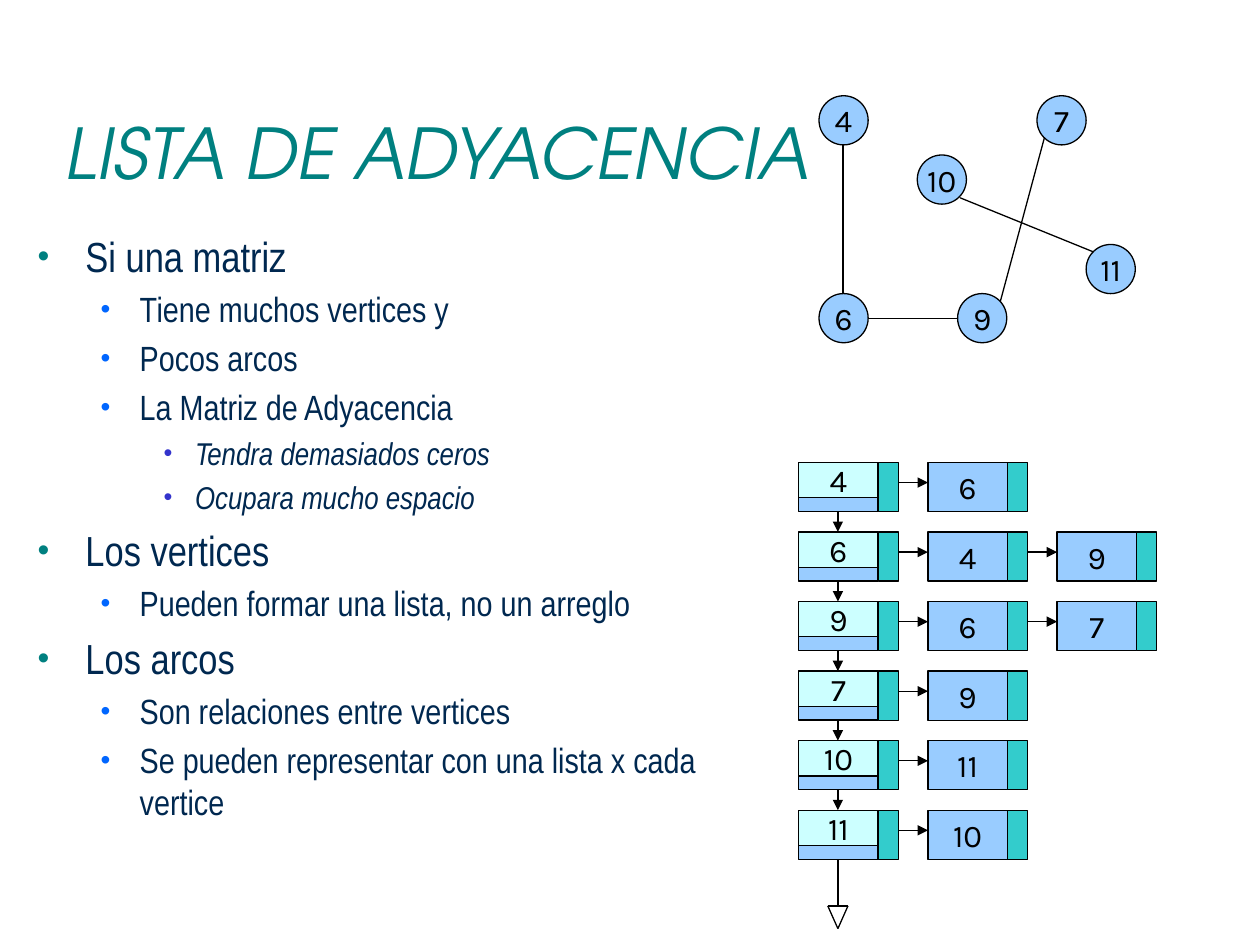
"""Build the slide on adjacency lists with a graph and its linked nodes."""
from lxml.etree import SubElement as Sub
from pptx import Presentation
from pptx.dml.color import RGBColor as RGB
from pptx.enum.shapes import MSO_CONNECTOR as Conn, MSO_SHAPE as Kind
from pptx.enum.text import MSO_ANCHOR as Anchor, PP_ALIGN as Align
from pptx.oxml.ns import qn
from pptx.util import Inches, Pt

HUES = {
    "title": "008080", "text": "002850", "ink": "000000",
    "node": "99CCFF", "head": "CCFFFF", "link": "33CCCC",
}
LEVELS = [
    {"size": 24, "left": 0.38, "hang": 0.38, "dot": "008080", "italic": False},
    {"size": 20, "left": 0.81, "hang": 0.31, "dot": "0066FF", "italic": False},
    {"size": 18, "left": 1.25, "hang": 0.25, "dot": "3333CC", "italic": True},
]
POINTS = [
    (0, "Si una matriz"),
    (1, "Tiene muchos vertices y"),
    (1, "Pocos arcos"),
    (1, "La Matriz de Adyacencia"),
    (2, "Tendra demasiados ceros"),
    (2, "Ocupara mucho espacio"),
    (0, "Los vertices"),
    (1, "Pueden formar una lista, no un arreglo"),
    (0, "Los arcos"),
    (1, "Son relaciones entre vertices"),
    (1, "Se pueden representar con una lista x cada vertice"),
]
NODES = {"4": (6.5, 0.76), "7": (8.23, 0.76), "9": (7.6, 2.33),
         "6": (6.5, 2.33), "10": (7.28, 1.23), "11": (8.62, 1.94)}
EDGES = [(6.69, 1.15, 6.69, 2.33), (6.89, 2.53, 7.6, 2.53),
         (7.94, 2.39, 8.29, 1.09), (7.62, 1.57, 8.68, 2)]
LISTS = [("4", ["6"]), ("6", ["4", "9"]), ("9", ["6", "7"]),
         ("7", ["9"]), ("10", ["11"]), ("11", ["10"])]

deck = Presentation()
deck.slide_width, deck.slide_height = Inches(10), Inches(7.5)
slide = deck.slides.add_slide(deck.slide_layouts[6])


def add_box(kind, x, y, w, h, hue, label=""):
    box = slide.shapes.add_shape(kind, Inches(x), Inches(y), Inches(w), Inches(h))
    box.shadow.inherit = False
    box.fill.solid()
    box.fill.fore_color.rgb = RGB.from_string(HUES[hue])
    box.line.color.rgb = RGB.from_string(HUES["ink"])
    box.line.width = Pt(0.75)
    if label:
        frame = box.text_frame
        frame.word_wrap = False
        frame.vertical_anchor = Anchor.MIDDLE
        para = frame.paragraphs[0]
        para.alignment = Align.CENTER
        run = para.add_run()
        run.text = label
        run.font.color.rgb = RGB.from_string(HUES["ink"])
        for key, value in {"name": "Karla", "size": Pt(18)}.items():
            setattr(run.font, key, value)


def add_line(x1, y1, x2, y2, arrow=False):
    line = slide.shapes.add_connector(
        Conn.STRAIGHT, Inches(x1), Inches(y1), Inches(x2), Inches(y2))
    line.line.color.rgb = RGB.from_string(HUES["ink"])
    line.line.width = Pt(0.75)
    if arrow:
        Sub(line.line._get_or_add_ln(), qn("a:tailEnd"), type="triangle")
    Sub(line._element.spPr, qn("a:effectLst"))


title = slide.shapes.add_textbox(Inches(0.42), Inches(0.58), Inches(6.45), Inches(1.25))
title.text_frame.word_wrap = True
title.text_frame.vertical_anchor = Anchor.MIDDLE
run = title.text_frame.paragraphs[0].add_run()
run.text = "LISTA DE ADYACENCIA"
run.font.color.rgb = RGB.from_string(HUES["title"])
for key, value in {"name": "TeX Gyre Adventor", "size": Pt(40), "italic": True}.items():
    setattr(run.font, key, value)

body = slide.shapes.add_textbox(Inches(0.2), Inches(1.78), Inches(5.51), Inches(4.5))
frame = body.text_frame
frame.word_wrap = True
for i, (depth, words) in enumerate(POINTS):
    style = LEVELS[depth]
    para = frame.add_paragraph() if i else frame.paragraphs[0]
    para.level = depth
    para.space_before = Pt(style["size"] * 0.2)
    props = para._p.get_or_add_pPr()
    props.set("marL", str(Inches(style["left"])))
    props.set("indent", str(-Inches(style["hang"])))
    Sub(Sub(props, qn("a:buClr")), qn("a:srgbClr"), val=style["dot"])
    Sub(props, qn("a:buSzPct"), val="80000")
    Sub(props, qn("a:buFont"), typeface="Arial")
    Sub(props, qn("a:buChar"), char="•")
    run = para.add_run()
    run.text = words
    run.font.color.rgb = RGB.from_string(HUES["text"])
    font = {"name": "Arial Narrow", "size": Pt(style["size"]), "italic": style["italic"]}
    for key, value in font.items():
        setattr(run.font, key, value)

for label, (x, y) in NODES.items():
    add_box(Kind.OVAL, x, y, 0.39, 0.39, "node", label)
for edge in EDGES:
    add_line(*edge)

left, top, row, step = 6.34, 3.67, 0.552, 1.025
wide, slim, tall, upper = 0.63, 0.16, 0.39, 0.28
mid = 6.65
for i, (vertex, links) in enumerate(LISTS):
    y = top + i * row
    add_box(Kind.RECTANGLE, left, y, wide, upper, "head", vertex)
    add_box(Kind.RECTANGLE, left, y + upper, wide, tall - upper, "node")
    add_box(Kind.RECTANGLE, left + wide, y, slim, tall, "link")
    if i:
        add_line(mid, y - row + tall, mid, y, True)
    for j, label in enumerate(links, 1):
        x = left + j * step
        add_box(Kind.RECTANGLE, x, y, wide, tall, "node", label)
        add_box(Kind.RECTANGLE, x + wide, y, slim, tall, "link")
        add_line(x - step + wide + slim, y + 0.16, x, y + 0.16, True)

for end in [(mid, 6.82, mid, 7.19), (6.57, 7.19, 6.73, 7.19),
            (6.57, 7.19, mid, 7.37), (mid, 7.37, 6.73, 7.19)]:
    add_line(*end)

deck.save("out.pptx")
